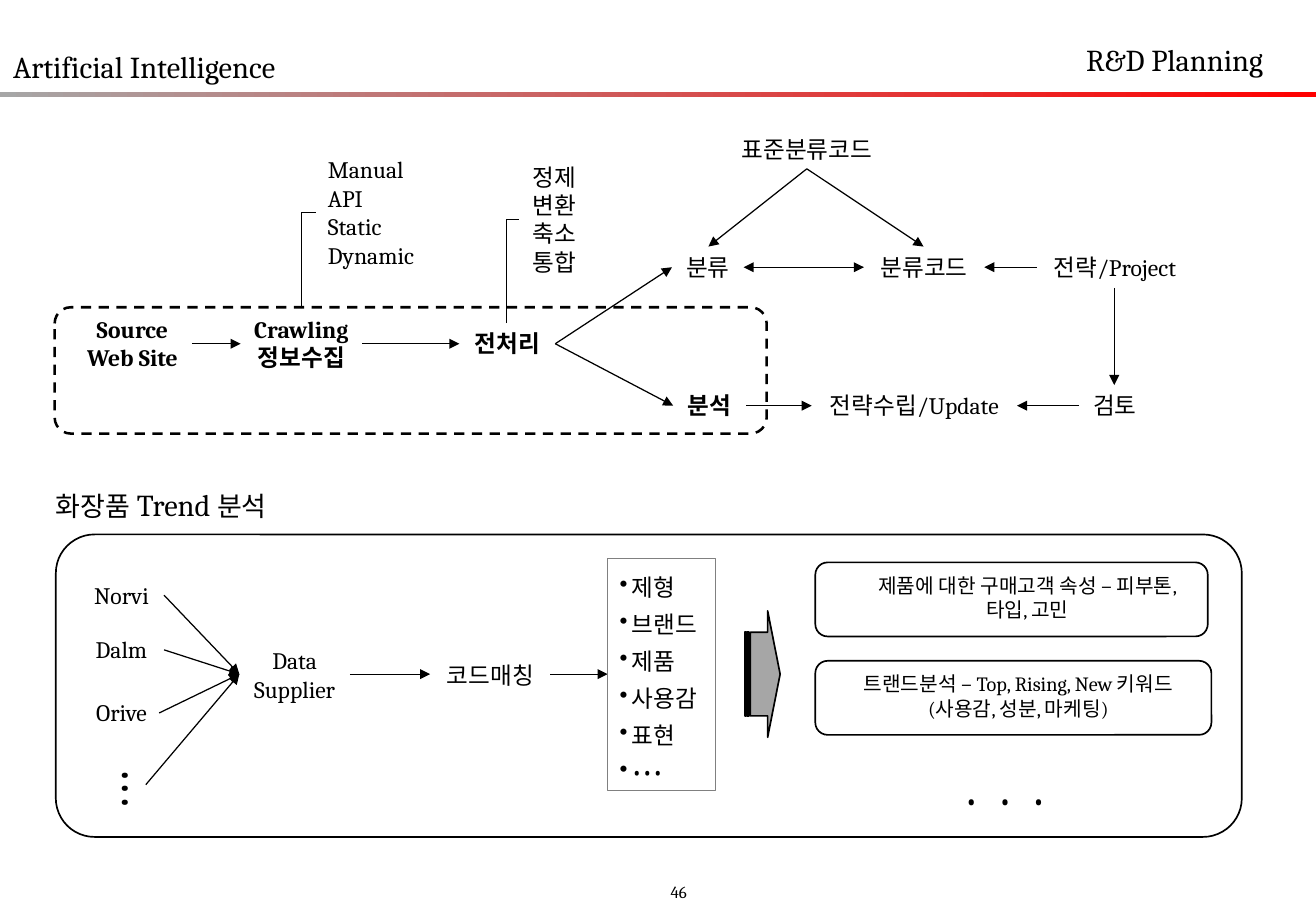
from dataclasses import dataclass

from pptx import Presentation
from pptx.dml.color import RGBColor
from pptx.enum.dml import MSO_LINE
from pptx.enum.shapes import MSO_CONNECTOR as CONN, MSO_SHAPE as SHAPE
from pptx.enum.text import MSO_ANCHOR as ANCHOR, MSO_AUTO_SIZE as AUTO, PP_ALIGN as ALIGN
from pptx.oxml.ns import qn
from pptx.util import Inches, Pt
from lxml.etree import SubElement


@dataclass(frozen=True)
class Theme:
    font: str = "Cambria"
    ink: str = "000000"
    gray: str = "A6A6A6"
    frame: str = "808080"
    accent: str = "FF0000"
    title: int = 18
    heading: int = 16
    body: int = 14
    note: int = 12
    page: int = 10
    thin: float = 0.75
    outline: float = 1
    thick: float = 1.5


class Board:
    """Draws styled elements on the current slide."""

    def __init__(self, slide, theme):
        self.s = slide
        self.t = theme

    def fill_text(self, tf, paragraphs, size, bold=False, align=ALIGN.CENTER, wrap=False, bullet=False, gap=0):
        tf.word_wrap = wrap
        tf.auto_size = AUTO.SHAPE_TO_FIT_TEXT
        tf.vertical_anchor = ANCHOR.TOP
        for i, runs in enumerate(paragraphs):
            p = tf.add_paragraph() if i else tf.paragraphs[0]
            p.alignment = align
            if bullet:
                p.line_spacing = 1.3
                ppr = p._p.get_or_add_pPr()
                ppr.set("marL", str(Inches(0.1)))
                ppr.set("indent", str(Inches(-0.1)))
                SubElement(ppr, qn("a:buChar"), char="•")
            for text, run_size in [(runs, size)] if isinstance(runs, str) else runs:
                r = p.add_run()
                r.text = text
                r.font.name = self.t.font
                r.font.size = Pt(run_size)
                r.font.bold = bold
                r.font.color.rgb = RGBColor.from_string(self.t.ink)
                if gap:
                    r._r.get_or_add_rPr().set("spc", str(gap * 100))

    def text(self, x, y, w, h, paragraphs, size, rotation=0, **style):
        sp = self.s.shapes.add_textbox(Inches(x), Inches(y), Inches(w), Inches(h))
        sp.rotation = rotation
        self.fill_text(sp.text_frame, paragraphs, size, **style)

    def label(self, x, y, w, *lines, **style):
        self.text(x, y, w, 0.1 + 0.235 * len(lines), lines, self.t.body, **style)

    def shape(self, kind, x, y, w, h, fill=None, line=None, width=1, adj=(), dash=None):
        sp = self.s.shapes.add_shape(kind, Inches(x), Inches(y), Inches(w), Inches(h))
        sp.shadow.inherit = False
        for i, value in enumerate(adj):
            sp.adjustments[i] = value
        if fill:
            sp.fill.solid()
            sp.fill.fore_color.rgb = RGBColor.from_string(fill)
        else:
            sp.fill.background()
        if line:
            sp.line.color.rgb = RGBColor.from_string(line)
            sp.line.width = Pt(width)
            sp.line.dash_style = dash
        else:
            sp.line.fill.background()
        return sp

    def rounded(self, x, y, w, h, **style):
        return self.shape(SHAPE.ROUNDED_RECTANGLE, x, y, w, h, line=self.t.ink, **style)

    def bar(self, x, y, w, h, start, end):
        fill = self.shape(SHAPE.RECTANGLE, x, y, w, h).fill
        fill.gradient()
        fill.gradient_angle = 0
        for i, color in enumerate((start, end)):
            fill.gradient_stops[i].color.rgb = RGBColor.from_string(color)
            fill.gradient_stops[i].position = i

    def connect(self, x1, y1, x2, y2, kind=CONN.STRAIGHT, ends=()):
        c = self.s.shapes.add_connector(kind, Inches(x1), Inches(y1), Inches(x2), Inches(y2))
        c.line.color.rgb = RGBColor.from_string(self.t.ink)
        c.line.width = Pt(self.t.thin)
        sppr = c._element.spPr
        for end in ends:
            SubElement(sppr.find(qn("a:ln")), qn(end), type="triangle")
        SubElement(sppr, qn("a:effectLst"))
        return sppr

    def arrow(self, x1, y1, x2, y2, both=False):
        self.connect(x1, y1, x2, y2, ends=("a:headEnd", "a:tailEnd") if both else ("a:tailEnd",))

    def elbow(self, x1, y1, x2, y2):
        cx, cy, rise, run = (x1 + x2) / 2, (y1 + y2) / 2, (y1 - y2) / 2, (x2 - x1) / 2
        sppr = self.connect(cx + rise, cy + run, cx - rise, cy - run, CONN.ELBOW)
        sppr.find(qn("a:xfrm")).set("rot", "5400000")
        sppr.find(qn("a:prstGeom")).set("prst", "bentConnector2")


def draw_header(b):
    t = b.t
    b.bar(0, 0.76, 10.83, 0.04, t.gray, t.accent)
    b.text(0.01, 0.35, 2.45, 0.4, ["Artificial Intelligence"], t.title, align=ALIGN.LEFT)
    b.text(8.84, 0.29, 1.76, 0.4, ["R&D Planning"], t.title, align=ALIGN.LEFT)
    b.text(5.42, 7.21, 0.37, 0.25, ["46"], t.page, align=ALIGN.LEFT, wrap=True)


def draw_process(b):
    b.rounded(0.45, 2.53, 5.86, 1.04, width=b.t.thick, adj=[0.128], dash=MSO_LINE.DASH)
    for x, y, w, *lines in (
        (0.6, 2.54, 0.98, "Source", "Web Site"),
        (1.98, 2.54, 1, "Crawling", "정보수집"),
        (3.78, 2.66, 0.79, "전처리"),
        (5.54, 3.17, 0.59, "분석"),
    ):
        b.label(x, y, w, *lines, bold=True)
    b.label(2.6, 1.23, 0.94, "Manual", "API", "Static", "Dynamic", align=ALIGN.LEFT)
    for x, y, w, *lines in (
        (4.27, 1.29, 0.59, "정제", "변환", "축소", "통합"),
        (5.95, 1.06, 1.38, "표준분류코드"),
        (5.53, 2.03, 0.59, "분류"),
        (7.11, 2.03, 0.99, "분류코드"),
        (8.53, 2.03, 1.29, "전략/Project"),
        (6.68, 3.17, 1.69, "전략수립/Update"),
        (8.88, 3.17, 0.59, "검토"),
    ):
        b.label(x, y, w, *lines)
    main_y, upper, lower = 2.83, 2.2, 3.34
    for ends in (
        (1.58, main_y, 1.98, main_y),
        (2.98, main_y, 3.78, main_y),
        (4.57, main_y, 5.53, upper),
        (4.57, main_y, 5.54, lower),
        (8.53, upper, 8.1, upper),
        (6.64, 1.39, 5.83, 2.03),
        (6.64, 1.39, 7.6, 2.03),
        (9.17, 2.37, 9.17, 3.17),
        (6.14, lower, 6.68, lower),
        (8.88, lower, 8.37, lower),
    ):
        b.arrow(*ends)
    b.arrow(6.12, upper, 7.11, upper, both=True)
    b.elbow(2.48, 2.54, 2.6, 1.75)
    b.elbow(4.17, 2.66, 4.27, 1.81)


def draw_trend(b):
    t = b.t
    heading = [("화장품", t.heading), (" Trend ", t.title), ("분석", t.heading)]
    b.text(0.36, 3.95, 2.08, 0.4, [heading], t.title, align=ALIGN.LEFT)
    b.rounded(0.46, 4.4, 9.76, 2.49, adj=[0.128])
    hub = 5.55
    for name, x, y, w in (("Norvi", 0.65, 4.73, 0.7), ("Dalm", 0.65, 5.18, 0.7), ("Orive", 0.69, 5.7, 0.62)):
        b.label(x, y, w, name)
        b.arrow(x + w, y + 0.17, 1.97, hub)
    b.text(0.7, 6.26, 0.6, 0.4, ["•••"], t.title, rotation=270, align=ALIGN.LEFT, wrap=True)
    b.arrow(1.2, 6.46, 1.97, hub)
    b.label(1.97, 5.27, 0.91, "Data", "Supplier")
    b.arrow(2.88, hub, 3.54, hub)
    b.label(3.54, 5.39, 0.99, "코드매칭")
    b.arrow(4.53, hub, 5, hub)
    codes = b.shape(SHAPE.RECTANGLE, 5, 4.6, 0.89, 1.91, line=t.frame, width=t.thin)
    items = ["제형", "브랜드", "제품", "사용감", "표현", "•••"]
    b.fill_text(codes.text_frame, items, t.body, align=ALIGN.LEFT, bullet=True)
    b.shape(SHAPE.STRIPED_RIGHT_ARROW, 6.13, 5.03, 0.29, 1.04, fill=t.gray, line=t.ink,
            width=t.outline, adj=[0.662, 0.353])
    b.rounded(6.71, 4.63, 3.23, 0.61)
    b.text(7.04, 4.67, 2.83, 0.5, ["제품에 대한 구매고객 속성 – 피부톤, 타입, 고민"], t.note, wrap=True)
    b.rounded(6.71, 5.44, 3.26, 0.61)
    keywords = ["트랜드분석 – Top, Rising, New 키워드", "(사용감, 성분, 마케팅)"]
    b.text(6.8, 5.48, 3.16, 0.5, keywords, t.note, wrap=True)
    b.text(7.84, 6.38, 1.07, 0.4, ["•••"], t.title, align=ALIGN.LEFT, wrap=True, gap=12)


def main():
    prs = Presentation()
    prs.slide_width, prs.slide_height = Inches(10.83), Inches(7.5)
    b = Board(prs.slides.add_slide(prs.slide_layouts[6]), Theme())
    draw_header(b)
    draw_process(b)
    draw_trend(b)
    prs.save("out.pptx")


if __name__ == "__main__":
    main()
